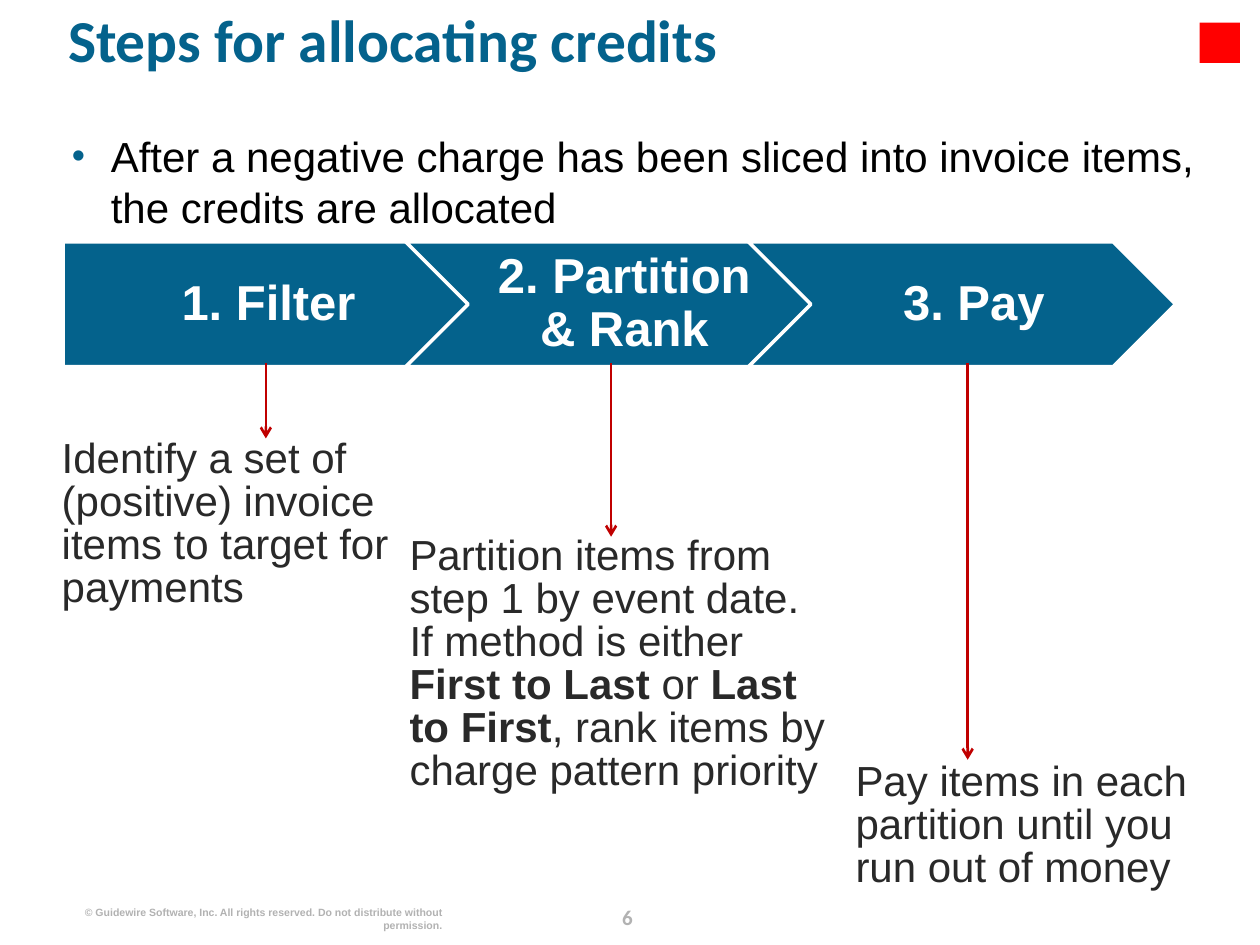
from pptx import Presentation
from pptx.dml.color import RGBColor
from pptx.enum.shapes import MSO_CONNECTOR, MSO_SHAPE
from pptx.enum.text import MSO_ANCHOR, PP_ALIGN
from pptx.oxml.ns import qn
from pptx.util import Inches, Pt
from lxml.etree import SubElement

BLUE = RGBColor(0x04, 0x62, 0x8C)
BLACK = RGBColor(0, 0, 0)
DARK = RGBColor(0x29, 0x29, 0x29)
GREY = RGBColor(0xB2, 0xB2, 0xB2)
WHITE = RGBColor(0xFF, 0xFF, 0xFF)
ARROW_RED = RGBColor(0xC0, 0, 0)
MARKER_RED = RGBColor(0xFF, 0, 0)

# Content
TITLE = "Steps for allocating credits"
INTRO = ("After a negative charge has been sliced into invoice items, "
         "the credits are allocated")
COPYRIGHT = ("© Guidewire Software, Inc. All rights reserved. "
             "Do not distribute without permission.")
PAGE_NUMBER = "6"
# label, arrow x, arrow end y, note box (left, top, width, height), note runs (text, bold)
STEPS = [
    ("1. Filter", 2.11, 3.48, (0.49, 3.49, 2.87, 1.37),
     [("Identify a set of (positive) invoice items to target for payments", False)]),
    ("2. Partition & Rank", 4.85, 4.26, (3.25, 4.26, 3.31, 2.06),
     [("Partition items from step 1 by event date.\vIf method is either ", False),
      ("First to Last ", True), ("or ", False), ("Last to First", True),
      (", rank items by charge pattern priority", False)]),
    (" 3. Pay", 7.68, 6.03, (6.79, 6.05, 2.87, 1.03),
     [("Pay items in each partition until you run out of money", False)]),
]

# Process band
BAND_LEFT, BAND_TOP = 0.5, 1.92
STEP_WIDTH, STEP_HEIGHT, STEP_PITCH = 3.39, 0.99, 2.72
ARROW_TOP = 2.88


def set_margins(frame, left=0, top=0, right=0, bottom=0):
    frame.margin_left, frame.margin_top = Inches(left), Inches(top)
    frame.margin_right, frame.margin_bottom = Inches(right), Inches(bottom)
    frame.word_wrap = True


def add_runs(paragraph, runs, size, color, font="Arial"):
    for text, bold in runs:
        for index, line in enumerate(text.split("\v")):
            if index:
                paragraph.add_line_break()
            run = paragraph.add_run()
            run.text = line
            run.font.name, run.font.size, run.font.bold = font, Pt(size), bold
            run.font.color.rgb = color


def add_text(slide, box, runs, size, color, font="Arial",
             align=PP_ALIGN.LEFT, spacing=None):
    frame = slide.shapes.add_textbox(*map(Inches, box)).text_frame
    set_margins(frame)
    paragraph = frame.paragraphs[0]
    paragraph.alignment = align
    paragraph.line_spacing = spacing
    add_runs(paragraph, runs, size, color, font)
    return paragraph


def add_bullet(paragraph, indent):
    properties = paragraph._p.get_or_add_pPr()
    properties.set("marL", str(Inches(indent)))
    properties.set("indent", str(-Inches(indent)))
    color = SubElement(properties, qn("a:buClr"))
    SubElement(color, qn("a:srgbClr"), val=str(BLUE))
    SubElement(properties, qn("a:buSzPct"), val="90000")
    SubElement(properties, qn("a:buFont"), typeface="Arial")
    SubElement(properties, qn("a:buChar"), char="•")


def add_block(slide, kind, box, fill):
    shape = slide.shapes.add_shape(kind, *map(Inches, box))
    shape.shadow.inherit = False
    shape.fill.solid()
    shape.fill.fore_color.rgb = fill
    shape.line.fill.background()
    return shape


def add_step(slide, index, label):
    kind = MSO_SHAPE.CHEVRON if index else MSO_SHAPE.PENTAGON
    left = BAND_LEFT + index * STEP_PITCH
    shape = add_block(slide, kind, (left, BAND_TOP, STEP_WIDTH, STEP_HEIGHT), BLUE)
    shape.line.color.rgb = WHITE
    shape.line.width = Pt(2)
    frame = shape.text_frame
    set_margins(frame, 0.12 if index else 0.16, 0.08, 0.04, 0.08)
    frame.vertical_anchor = MSO_ANCHOR.MIDDLE
    paragraph = frame.paragraphs[0]
    paragraph.alignment = PP_ALIGN.CENTER
    paragraph.line_spacing = 0.9
    add_runs(paragraph, [(label, True)], 28, WHITE)


def add_arrow(slide, x, bottom):
    arrow = slide.shapes.add_connector(
        MSO_CONNECTOR.STRAIGHT, Inches(x), Inches(ARROW_TOP), Inches(x), Inches(bottom))
    arrow.line.color.rgb = ARROW_RED
    arrow.line.width = Pt(1.5)
    SubElement(arrow.line._get_or_add_ln(), qn("a:tailEnd"), type="arrow")
    SubElement(arrow._element.spPr, qn("a:effectLst"))


def main():
    presentation = Presentation()
    presentation.slide_width, presentation.slide_height = Inches(10), Inches(7.5)
    slide = presentation.slides.add_slide(presentation.slide_layouts[5])

    # Title
    title = slide.shapes.title
    title.left, title.top = Inches(0.54), Inches(0.13)
    title.width, title.height = Inches(9.1), Inches(0.81)
    set_margins(title.text_frame)
    title.text_frame.vertical_anchor = MSO_ANCHOR.TOP
    heading = title.text_frame.paragraphs[0]
    heading.alignment = PP_ALIGN.LEFT
    heading.line_spacing = 0.8
    add_runs(heading, [(TITLE, True)], 34, BLUE, "Calibri")

    # Introduction
    intro = add_text(slide, (0.57, 1.02, 9.1, 0.85), [(INTRO, False)], 24, BLACK,
                     spacing=1.03)
    add_bullet(intro, 0.31)

    # Steps, then their notes and arrows
    for index, (label, *_) in enumerate(STEPS):
        add_step(slide, index, label)
    for _, arrow_x, arrow_bottom, box, runs in STEPS:
        add_text(slide, box, runs, 24, DARK, spacing=0.85)
        add_arrow(slide, arrow_x, arrow_bottom)

    # Corner marker
    add_block(slide, MSO_SHAPE.RECTANGLE, (9.52, 0.18, 0.32, 0.32), MARKER_RED)

    # Footer
    add_text(slide, (0.61, 7.19, 2.9, 0.2), [(COPYRIGHT, True)], 6, GREY,
             align=PP_ALIGN.RIGHT)
    add_text(slide, (4.73, 7.13, 0.5, 0.25), [(PAGE_NUMBER, True)], 12, GREY, "Calibri",
             PP_ALIGN.CENTER, Pt(18))

    presentation.save("out.pptx")


if __name__ == "__main__":
    main()
